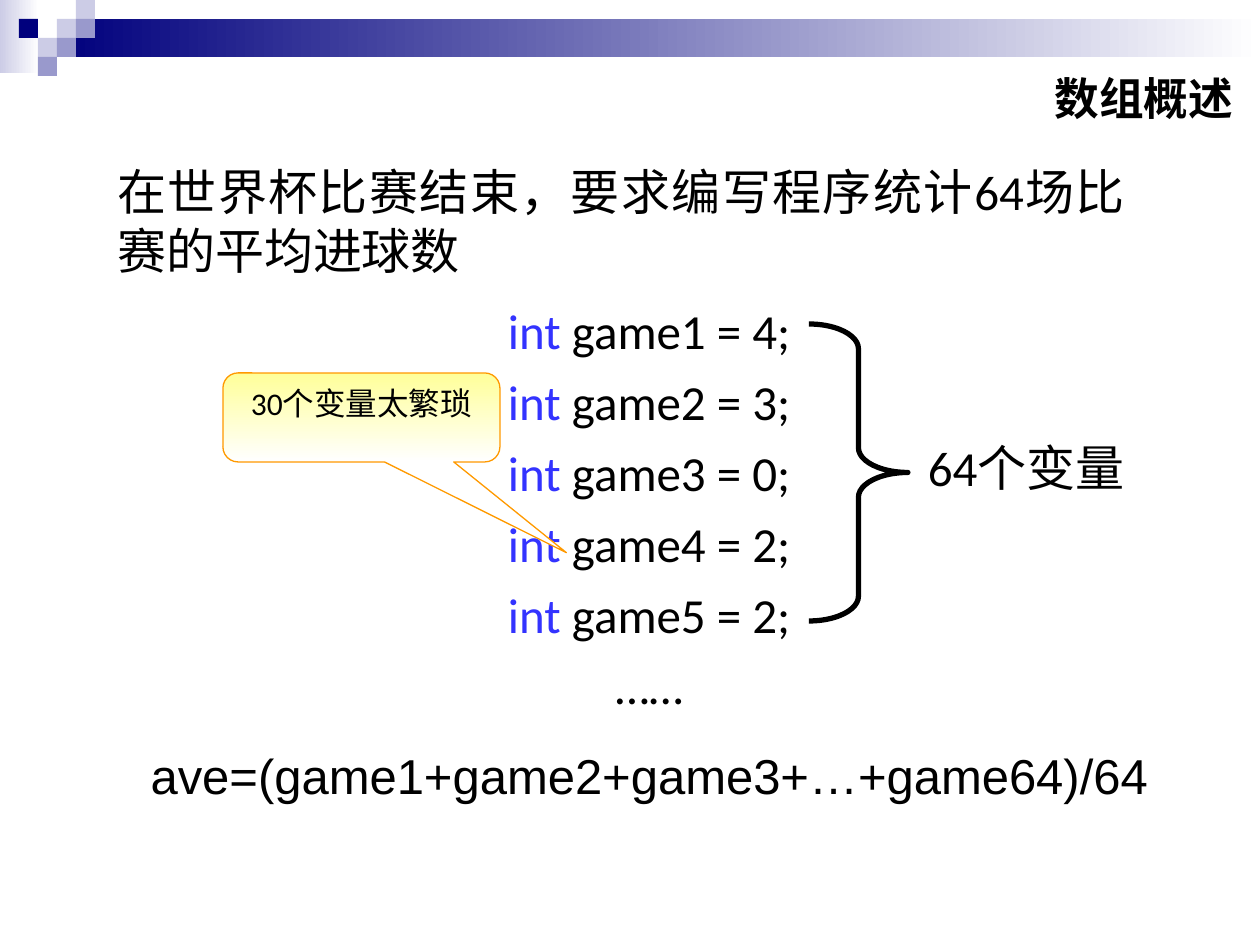
from pptx import Presentation
from pptx.dml.color import RGBColor
from pptx.enum.shapes import MSO_SHAPE
from pptx.enum.text import MSO_ANCHOR, MSO_AUTO_SIZE, PP_ALIGN
from pptx.util import Pt
from lxml.etree import SubElement
from pptx.oxml.ns import qn

PX = 914400 / 126
CELL = 19
BLACK, BLUE = "000000", "3333FF"
NAVY, LAVENDER, VIOLET, WHITE = "00007D", "CCCCE6", "9999CC", "FFFFFF"
BODY_SIZE = 28


def px(*lengths):
    return [round(length * PX) for length in lengths]


def colour(hex_text):
    return RGBColor.from_string(hex_text)


def fill_gradient(shape, start, end, angle):
    shape.fill.gradient()
    shape.fill.gradient_angle = angle
    for stop, position, shade in zip(shape.fill.gradient_stops, (0, 1), (start, end)):
        stop.position = position
        stop.color.rgb = colour(shade)


def add_shape(slide, kind, place, fill=None, line=None, width=1):
    shape = slide.shapes.add_shape(kind, *px(*place))
    shape.shadow.inherit = False
    if fill:
        shape.fill.solid()
        shape.fill.fore_color.rgb = colour(fill)
    else:
        shape.fill.background()
    if line:
        shape.line.color.rgb = colour(line)
        shape.line.width = Pt(width)
    else:
        shape.line.fill.background()
    return shape


def add_run(para, text, size=BODY_SIZE, font="Calibri", shade=BLACK):
    span = para.add_run()
    span.text = text
    span.font.size = Pt(size)
    span.font.name = font
    span.font.color.rgb = colour(shade)
    return span


def add_text(slide, place, align):
    box = slide.shapes.add_textbox(*px(*place))
    frame = box.text_frame
    frame.word_wrap = True
    frame.paragraphs[0].alignment = align
    return frame


def add_line(frame, space):
    para = frame.add_paragraph()
    para.alignment = PP_ALIGN.CENTER
    para.space_before = Pt(space)
    return para


def add_decoration(slide):
    side = add_shape(slide, MSO_SHAPE.RECTANGLE, (0, 0, 39, 73))
    fill_gradient(side, LAVENDER, WHITE, 0)
    band = add_shape(slide, MSO_SHAPE.RECTANGLE, (57, 19, 1203, 38))
    fill_gradient(band, NAVY, WHITE, 0)
    squares = [(3, 1, LAVENDER), (4, 0, LAVENDER), (4, 1, VIOLET), (2, 2, LAVENDER),
               (1, 1, NAVY), (3, 2, VIOLET), (2, 3, VIOLET)]
    for column, row, shade in squares:
        place = (column * CELL, row * CELL, CELL, CELL)
        add_shape(slide, MSO_SHAPE.RECTANGLE, place, shade)


def format_title(slide):
    title = slide.shapes.title
    title.left, title.top, title.width, title.height = px(600, 67, 646, 69)
    frame = title.text_frame
    frame.auto_size = MSO_AUTO_SIZE.NONE
    frame.vertical_anchor = MSO_ANCHOR.MIDDLE
    para = frame.paragraphs[0]
    para.alignment = PP_ALIGN.RIGHT
    para.line_spacing = 0.9
    span = add_run(para, "数组概述", 25.5, "Noto Sans CJK SC")
    span.font.bold = True
    east_asian = SubElement(span.font._element, qn("a:ea"))
    east_asian.set("typeface", "Noto Sans CJK SC")


def add_code(slide):
    frame = add_text(slide, (123, 294, 1052, 517), PP_ALIGN.CENTER)
    for number, goals in enumerate((4, 3, 0, 2, 2), 1):
        para = frame.paragraphs[0] if number == 1 else add_line(frame, 7)
        add_run(para, "int", shade=BLUE)
        add_run(para, f" game{number} = {goals};")
    add_run(add_line(frame, 7), "……")
    add_run(add_line(frame, 17.5), "ave=(game1+game2+game3+…+game64)/64", font="Arial")


def add_callout(slide):
    callout = add_shape(slide, MSO_SHAPE.ROUNDED_RECTANGULAR_CALLOUT,
                        (223, 373, 277, 89), line="FF9900", width=0.75)
    fill_gradient(callout, "FFFF99", WHITE, 270)
    for index, value in enumerate((0.74, 1.52, 0.17)):
        callout.adjustments[index] = value
    frame = callout.text_frame
    frame.word_wrap = True
    frame.vertical_anchor = MSO_ANCHOR.TOP
    para = frame.paragraphs[0]
    para.alignment = PP_ALIGN.CENTER
    add_run(para, "30个变量太繁琐", 18)


def main():
    deck = Presentation()
    deck.slide_width, deck.slide_height = px(1260, 945)
    slide = deck.slides.add_slide(deck.slide_layouts[5])

    # Corner squares, top band and title
    add_decoration(slide)
    format_title(slide)

    # Task and the code for it
    task = add_text(slide, (105, 155, 1032, 139), PP_ALIGN.JUSTIFY)
    add_run(task.paragraphs[0], "在世界杯比赛结束，要求编写程序统计64场比赛的平均进球数")
    add_code(slide)

    # Brace with its label
    brace = add_shape(slide, MSO_SHAPE.RIGHT_BRACE, (809, 324, 99, 297), line=BLACK, width=3)
    brace.adjustments[0] = 0.25
    label = add_text(slide, (907, 431, 238, 72), PP_ALIGN.CENTER)
    add_run(label.paragraphs[0], "64个变量")

    # Remark on the variables
    add_callout(slide)
    deck.save("out.pptx")


if __name__ == "__main__":
    main()
